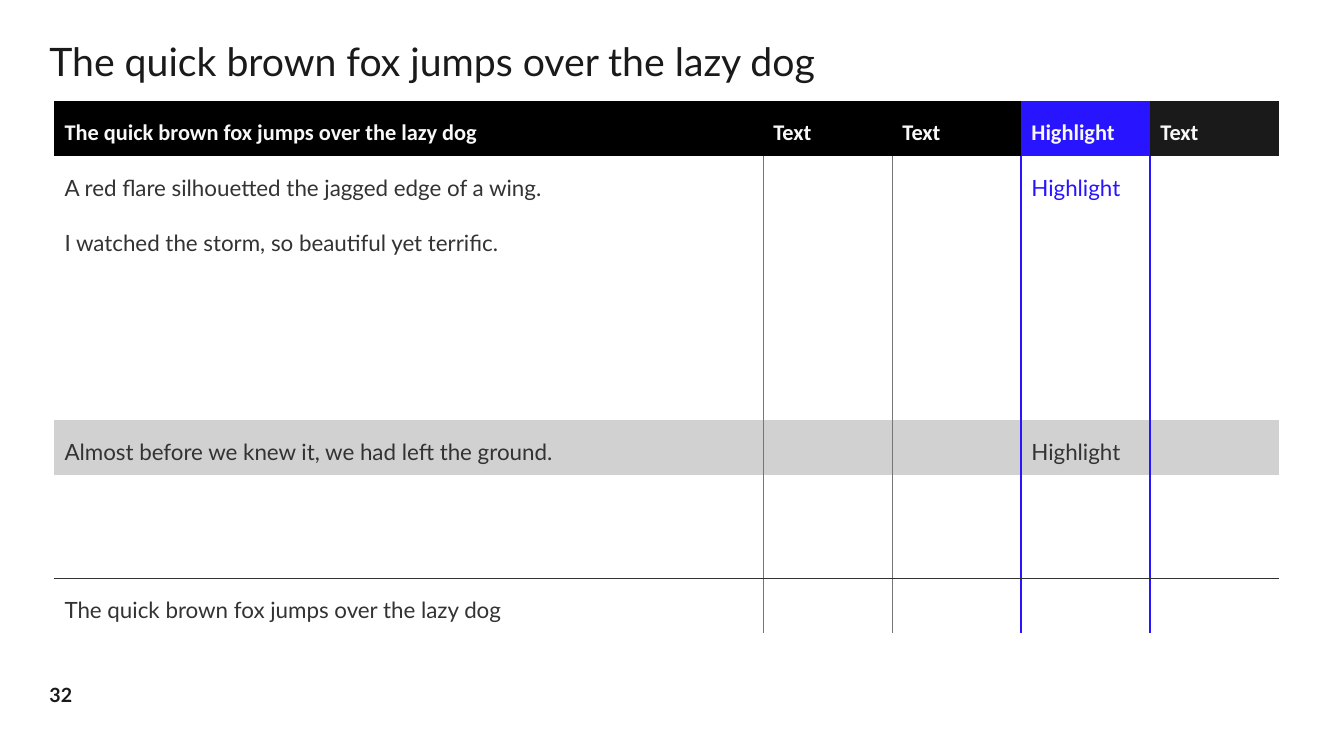
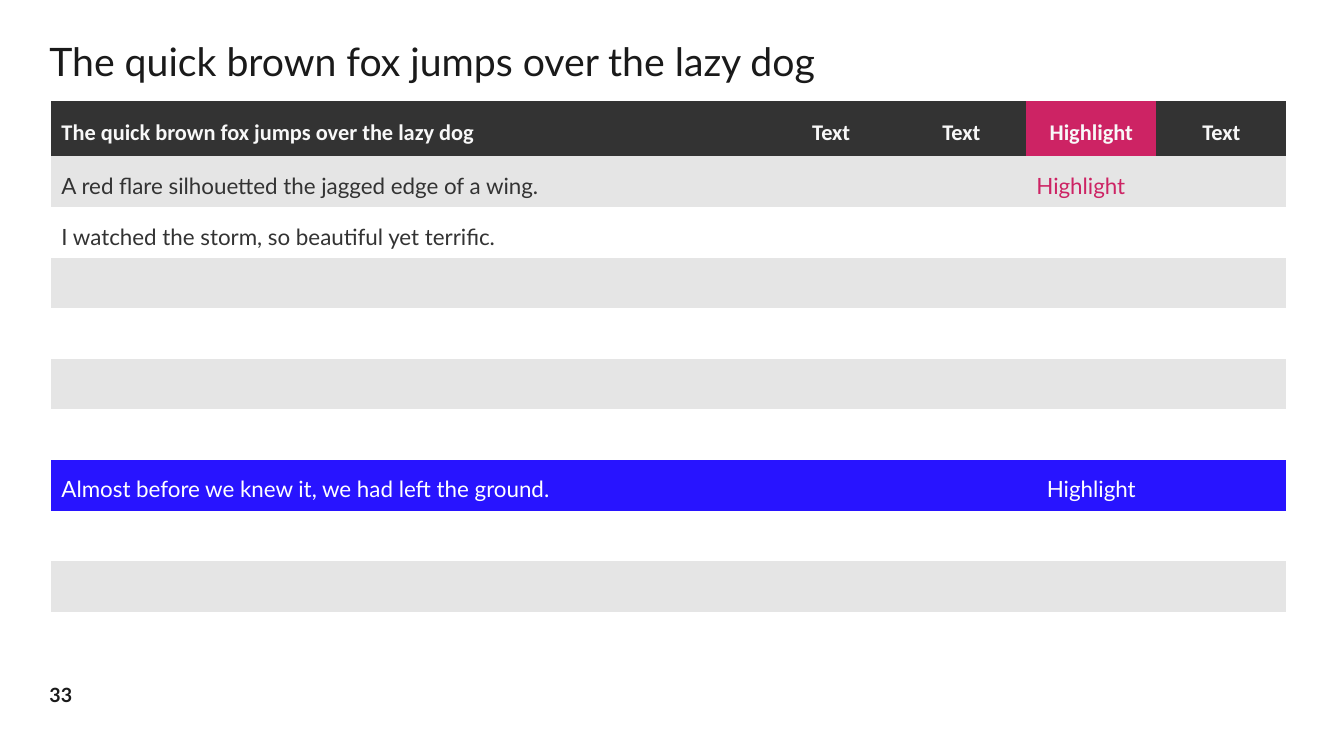
from pptx import Presentation
from pptx.dml.color import RGBColor as Rgb
from pptx.enum.text import MSO_ANCHOR as Anchor, PP_ALIGN as Align
from pptx.oxml import parse_xml
from pptx.oxml.ns import nsdecls, qn
from pptx.util import Inches, Pt

HUES = {
    "ink": "1A1A1A", "text": "333333", "pale": "F8F8F8", "white": "FFFFFF",
    "black": "000000", "blue": "2814FF", "pink": "CD2364", "band": "E5E5E5",
    "gray": "D1D1D1", "rule": "767676", "dark": "313131",
}
PLAIN = "{2D5ABB26-0587-4C30-8999-92F81FD0307C}"
FOX = "The quick brown fox jumps over the lazy dog"
FLARE = "A red flare silhouetted the jagged edge of a wing."
STORM = "I watched the storm, so beautiful yet terrific."
GROUND = "Almost before we knew it, we had left the ground."
HEAD = [FOX, "Text", "Text", "Highlight", "Text"]


def assign(item, values):
    for name, value in values.items():
        setattr(item, name, value)


class Deck:
    title_font = {"name": "Lato", "size": Pt(28), "bold": False}
    head_font = {"name": "Calibri", "size": Pt(16), "bold": True}
    body_font = {"name": "Lato", "size": Pt(16), "bold": False}
    page_font = {"name": "Lato", "size": Pt(14), "bold": True}

    def __init__(self, first):
        self.prs = Presentation()
        assign(self.prs, {"slide_width": Inches(13.33), "slide_height": Inches(7.5)})
        self.page = first - 1

    def words(self, frame, text, font, hue, align=Align.LEFT, gap=1.0):
        para = frame.paragraphs[0]
        assign(para, {"alignment": align, "line_spacing": gap})
        run = para.add_run()
        run.text = text
        assign(run.font, font)
        run.font.color.rgb = Rgb.from_string(HUES[hue])

    def start(self, title):
        self.slide = self.prs.slides.add_slide(self.prs.slide_layouts[5])
        self.page += 1
        box = self.slide.shapes.title
        assign(box, {"left": Inches(0.39), "top": Inches(0.4),
                     "width": Inches(12.55), "height": Inches(0.49)})
        assign(box.text_frame, {"vertical_anchor": Anchor.BOTTOM, "word_wrap": True})
        self.words(box.text_frame, title, self.title_font, "ink", gap=0.9)
        self.number()

    def number(self):
        box = self.slide.shapes.add_textbox(
            Inches(0.49), Inches(6.68), Inches(0.78), Inches(0.43))
        frame = box.text_frame
        assign(frame, {"margin_left": 0, "margin_right": 0, "margin_top": 0,
                       "margin_bottom": 0, "word_wrap": True,
                       "vertical_anchor": Anchor.MIDDLE})
        self.words(frame, str(self.page), self.page_font, "ink")

    def table(self, left, widths, heights):
        frame = self.slide.shapes.add_table(
            len(heights), len(widths), Inches(left), Inches(1),
            Inches(sum(widths)), Inches(sum(heights)))
        grid = frame.table
        assign(grid, {"first_row": False, "horz_banding": False})
        grid._tbl.tblPr.find(qn("a:tableStyleId")).text = PLAIN
        for col, width in zip(grid.columns, widths):
            col.width = Inches(width)
        for row, height in zip(grid.rows, heights):
            row.height = Inches(height)
        for cell in grid.iter_cells():
            cell.fill.background()
        return grid

    def label(self, cell, text, font, hue, align=Align.LEFT, pad=0.1):
        assign(cell, {"margin_left": Inches(0.1), "margin_right": Inches(0.1),
                      "margin_top": Inches(pad), "margin_bottom": Inches(pad),
                      "vertical_anchor": Anchor.MIDDLE})
        self.words(cell.text_frame, text, font, hue, align, 1.3)

    def header(self, grid, fills, align):
        for col, (text, fill) in enumerate(zip(HEAD, fills)):
            cell = grid.cell(0, col)
            self.paint(cell, fill)
            self.label(cell, text, self.head_font, "pale", align if col else Align.LEFT)

    def paint(self, cell, hue):
        cell.fill.solid()
        cell.fill.fore_color.rgb = Rgb.from_string(HUES[hue])

    def band(self, grid, row, hue):
        for col in range(len(grid.columns)):
            self.paint(grid.cell(row, col), hue)

    def edge(self, cell, side, hue, width):
        line = parse_xml(
            f'<a:ln{side} {nsdecls("a")} w="{Pt(width)}"><a:solidFill>'
            f'<a:srgbClr val="{HUES[hue]}"/></a:solidFill></a:ln{side}>')
        cell._tc.get_or_add_tcPr().insert(0, line)


def ruled(deck):
    deck.start(FOX)
    grid = deck.table(0.54, [7.03] + [1.28] * 4, [0.54] + [0.51] * 9)
    deck.header(grid, ["black"] * 3 + ["blue", "ink"], Align.LEFT)
    deck.band(grid, 6, "gray")
    for row, col, text, hue in [
        (1, 0, FLARE, "text"), (1, 3, "Highlight", "blue"), (2, 0, STORM, "text"),
        (6, 0, GROUND, "text"), (6, 3, "Highlight", "text"), (9, 0, FOX, "text"),
    ]:
        deck.label(grid.cell(row, col), text, deck.body_font, hue)
    for col in range(5):
        deck.edge(grid.cell(9, col), "T", "dark", 0.75)
    rules = [("rule", 0.5), ("rule", 0.5), ("blue", 1.5), ("dark", 0.75)]
    for col, (hue, width) in enumerate(rules, 1):
        for row in range(1, 10):
            deck.edge(grid.cell(row, col), "L", hue, width)


def banded(deck):
    deck.start(FOX)
    grid = deck.table(0.51, [7.09] + [1.29] * 4, [0.54] + [0.5] * 10)
    deck.header(grid, ["text"] * 3 + ["pink", "text"], Align.CENTER)
    for row in range(1, 11, 2):
        deck.band(grid, row, "blue" if row == 7 else "band")
    for row, col, text, hue, align in [
        (1, 0, FLARE, "text", Align.LEFT), (1, 3, "Highlight", "pink", Align.LEFT),
        (2, 0, STORM, "text", Align.LEFT), (7, 0, GROUND, "white", Align.LEFT),
        (7, 3, "Highlight", "white", Align.CENTER),
    ]:
        deck.label(grid.cell(row, col), text, deck.body_font, hue, align, 0.08)


def main():
    deck = Deck(32)
    ruled(deck)
    banded(deck)
    deck.prs.save("out.pptx")


if __name__ == "__main__":
    main()
